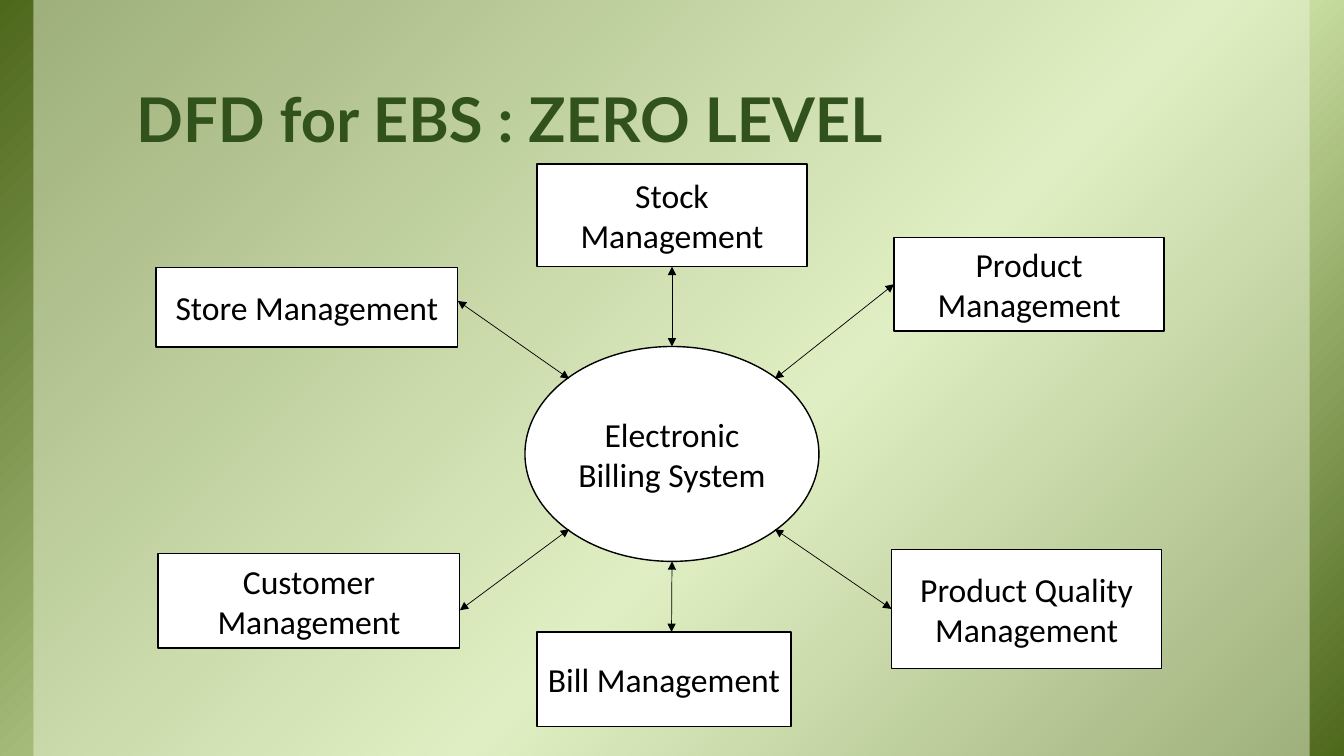
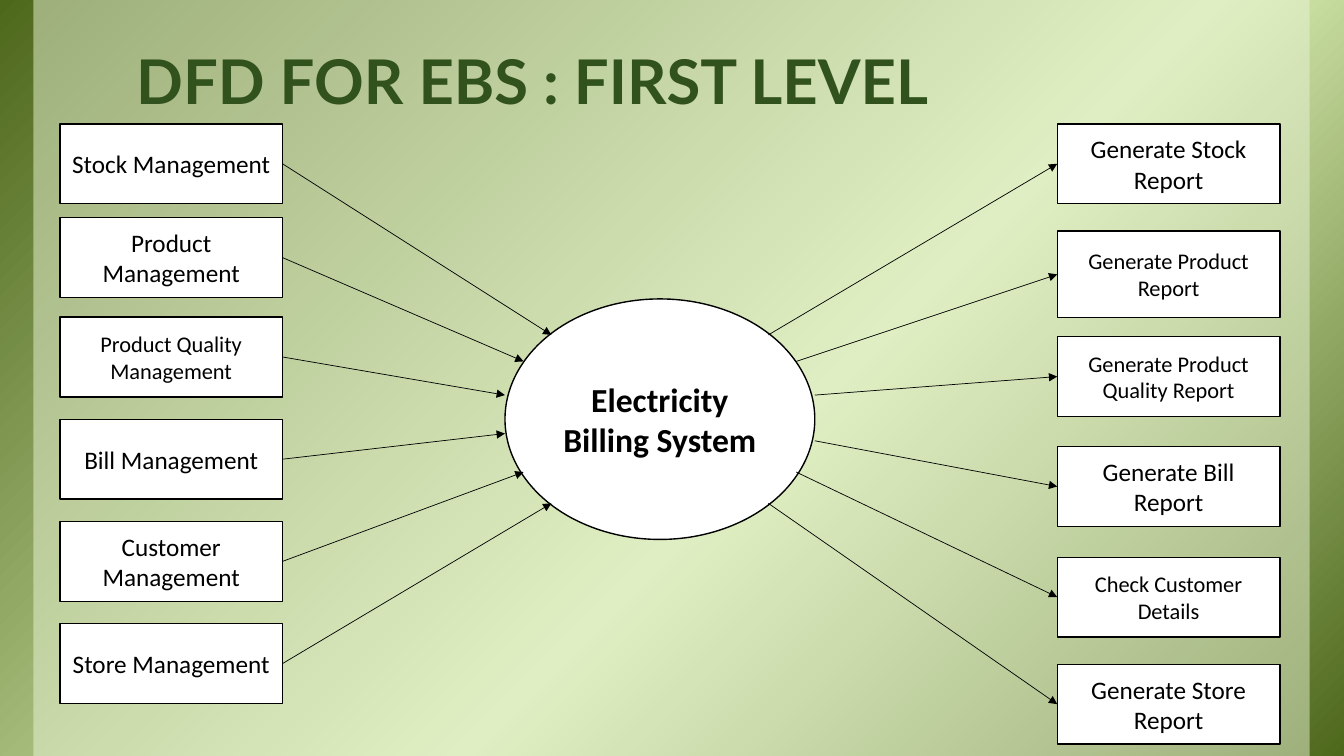
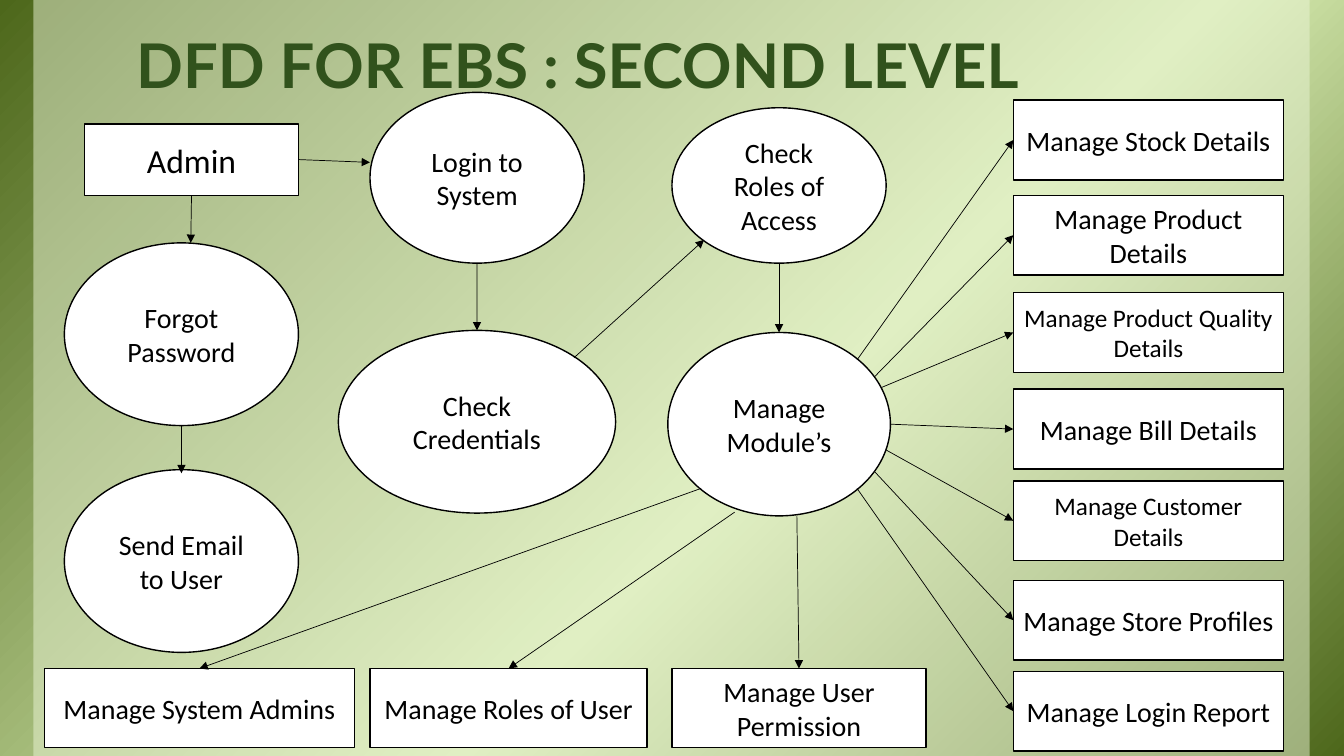
from copy import deepcopy

from lxml import etree
from pptx import Presentation
from pptx import util as u
from pptx.dml.color import RGBColor
from pptx.enum import shapes, text
from pptx.oxml.ns import qn

COLOURS = {
    "edge": "4D671B",
    "glow": "D6EAAF",
    "panel": "EBF5D7",
    "title": "31521C",
    "ink": "000000",
    "paper": "FFFFFF",
}
RECT = shapes.MSO_SHAPE.RECTANGLE
OVAL = shapes.MSO_SHAPE.OVAL
TOP, BOTTOM, LEFT, RIGHT = (0.5, 0), (0.5, 1), (0, 0.5), (1, 0.5)
TOP_LEFT, TOP_RIGHT = (0.15, 0.15), (0.85, 0.15)
BOTTOM_LEFT, BOTTOM_RIGHT = (0.15, 0.85), (0.85, 0.85)


def colour(name):
    return RGBColor.from_string(COLOURS[name])


class Deck:
    width, height = 960, 540
    title_font = {"name": "Lato", "size": u.Pt(44), "bold": True}
    node_font = {"name": "Calibri", "bold": False}
    title_frame = {
        "word_wrap": True,
        "vertical_anchor": text.MSO_ANCHOR.BOTTOM,
        "margin_left": u.Pt(9.36),
        "margin_right": u.Pt(9.36),
        "margin_top": u.Pt(5.04),
        "margin_bottom": u.Pt(5.04),
    }
    node_frame = {"word_wrap": True, "vertical_anchor": text.MSO_ANCHOR.MIDDLE}

    def __init__(self):
        self.presentation = Presentation()
        self.presentation.slide_width = u.Pt(self.width)
        self.presentation.slide_height = u.Pt(self.height)
        self.slide = None

    def start(self, title, title_height):
        self.slide = self.presentation.slides.add_slide(self.presentation.slide_layouts[6])
        self.backdrop()
        box = self.slide.shapes.add_textbox(*map(u.Pt, (88, 5.7, 800, title_height)))
        paragraph = self.label(box, title, self.title_frame, self.title_font, "title")
        paragraph.line_spacing = 0.85

    def shape(self, kind, area):
        shape = self.slide.shapes.add_shape(kind, *map(u.Pt, area))
        shape.shadow.inherit = False
        return shape

    def backdrop(self):
        back = self.shape(RECT, (0, 0, self.width, self.height))
        back.line.fill.background()
        back.fill.gradient()
        back.fill.gradient_angle = 315
        last = back._element.spPr.findall(".//" + qn("a:gs"))[-1]
        last.addnext(deepcopy(last))
        for stop, (position, name) in zip(
            back.fill.gradient_stops, ((0, "edge"), (0.58, "glow"), (1, "edge"))
        ):
            stop.position = position
            stop.color.rgb = colour(name)

        panel = self.shape(RECT, (23.8, 0, 911.6, self.height))
        panel.line.fill.background()
        panel.fill.solid()
        panel.fill.fore_color.rgb = colour("panel")
        tint = panel._element.spPr.find(".//" + qn("a:srgbClr"))
        etree.SubElement(tint, qn("a:alpha")).set("val", "50000")

    def label(self, shape, words, frame_format, font_format, ink):
        frame = shape.text_frame
        for name, value in frame_format.items():
            setattr(frame, name, value)
        paragraph = frame.paragraphs[0]
        run = paragraph.add_run()
        run.text = words
        for name, value in font_format.items():
            setattr(run.font, name, value)
        run.font.color.rgb = colour(ink)
        return paragraph

    def node(self, kind, words, area, size, bold=False):
        node = self.shape(kind, area)
        node.fill.solid()
        node.fill.fore_color.rgb = colour("paper")
        node.line.color.rgb = colour("ink")
        node.line.width = u.Pt(1)
        font = {**self.node_font, "size": u.Pt(size), "bold": bold}
        paragraph = self.label(node, words, self.node_frame, font, "ink")
        paragraph.alignment = text.PP_ALIGN.CENTER
        return node

    def column(self, left, width, height, rows):
        return [
            self.node(RECT, words, (left, top, width, height), size)
            for words, top, size in rows
        ]

    def spot(self, node, place):
        across, down = place
        return int(node.left + node.width * across), int(node.top + node.height * down)

    def arrow(self, source, source_place, target, target_place, both=False):
        connector = self.slide.shapes.add_connector(
            shapes.MSO_CONNECTOR.STRAIGHT,
            *self.spot(source, source_place),
            *self.spot(target, target_place),
        )
        connector.line.color.rgb = colour("ink")
        connector.line.width = u.Pt(0.5)
        properties = connector._element.spPr
        outline = properties.find(qn("a:ln"))
        for end in ("a:headEnd", "a:tailEnd") if both else ("a:tailEnd",):
            etree.SubElement(outline, qn(end)).set("type", "triangle")
        etree.SubElement(properties, qn("a:effectLst"))


def zero_level(deck):
    deck.start("DFD for EBS : ZERO LEVEL", 110)
    system = deck.node(OVAL, "Electronic Billing System", (375, 247.5, 210, 153.5), 24)
    modules = (
        ("Stock Management", (383.5, 117, 193, 73.5), TOP, BOTTOM),
        ("Product Management", (638.6, 169.5, 193, 67), TOP_RIGHT, LEFT),
        ("Product Quality Management", (636.8, 392.4, 193, 85.2), BOTTOM_RIGHT, LEFT),
        ("Bill Management", (383.5, 451.4, 181.5, 67.7), BOTTOM, (0.53, 0)),
        ("Customer Management", (113, 395.3, 215.5, 67.7), BOTTOM_LEFT, (1, 0.6)),
        ("Store Management", (111.5, 191, 215.5, 57), TOP_LEFT, (1, 0.42)),
    )
    for words, area, system_place, module_place in modules:
        module = deck.node(RECT, words, area, 24)
        deck.arrow(system, system_place, module, module_place, both=True)


def first_level(deck):
    deck.start("DFD FOR EBS : FIRST LEVEL", 82.8)
    inputs = deck.column(42.8, 159, 57, (
        ("Stock Management", 88.5, 18),
        ("Product Management", 155.5, 18),
        ("Product Quality Management", 226.5, 16),
        ("Bill Management", 299.5, 18),
        ("Customer Management", 372.5, 18),
        ("Store Management", 445.5, 18),
    ))
    reports = deck.column(755.2, 159, 57, (
        ("Generate Stock Report", 88.5, 18),
        ("Generate Product Report", 165, 16),
        ("Generate Product Quality Report", 240.5, 16),
        ("Generate Bill Report", 319, 18),
        ("Check Customer Details", 398, 16),
        ("Generate Store Report", 474.5, 18),
    ))
    reports[1].height = u.Pt(62)
    system = deck.node(
        OVAL, "Electricity Billing System", (360.7, 213.5, 221.3, 171.8), 24, bold=True
    )
    entries = (TOP_LEFT, (0.06, 0.26), (0, 0.4), (0, 0.56), (0.06, 0.72), BOTTOM_LEFT)
    exits = (TOP_RIGHT, (0.94, 0.26), (1, 0.4), (1, 0.59), (0.94, 0.72), BOTTOM_RIGHT)
    for module, entry in zip(inputs, entries):
        deck.arrow(module, RIGHT, system, entry)
    for report, exit_place in zip(reports, exits):
        deck.arrow(system, exit_place, report, LEFT)


def second_level(deck):
    deck.start("DFD FOR EBS : SECOND LEVEL", 71.3)
    admin = deck.node(RECT, "Admin", (60.3, 88.5, 153, 51), 24)
    login, credentials, forgot, email, roles, modules = [
        deck.node(OVAL, words, area, 20)
        for words, area in (
            ("Login to System", (264.3, 66, 153, 122)),
            ("Check Credentials", (241.7, 236, 198, 130.5)),
            ("Forgot Password", (46, 173.5, 167.2, 130.5)),
            ("Send Email to User", (46, 335.5, 167.2, 130.5)),
            ("Check Roles of Access", (480, 77, 153, 111)),
            ("Manage Module’s", (477, 237.5, 159, 131)),
        )
    ]
    details = deck.column(723.8, 193, 57, (
        ("Manage Stock Details", 71.5, 20),
        ("Manage Product Details", 139.5, 20),
        ("Manage Product Quality Details", 209, 18),
        ("Manage Bill Details", 278, 20),
        ("Manage Customer Details", 343.5, 18),
        ("Manage Store Profiles", 414.5, 20),
        ("Manage Login Report", 479.5, 20),
    ))
    access = [
        deck.node(RECT, words, (left, 477.5, width, 56.5), 20)
        for words, left, width in (
            ("Manage System Admins", 31.7, 221.5),
            ("Manage Roles of User", 264.3, 198),
            ("Manage User Permission", 480, 181.5),
        )
    ]
    for steps in (
        (admin, RIGHT, login, (0, 0.41)),
        (login, BOTTOM, credentials, TOP),
        (admin, BOTTOM, forgot, (0.54, 0)),
        (forgot, BOTTOM, email, (0.5, 0.02)),
        (credentials, TOP_RIGHT, roles, BOTTOM_LEFT),
        (roles, BOTTOM, modules, TOP),
    ):
        deck.arrow(*steps)
    exits = (
        TOP_RIGHT, (0.93, 0.24), (0.96, 0.3), RIGHT, (0.98, 0.64), (0.93, 0.76), BOTTOM_RIGHT
    )
    for detail, exit_place in zip(details, exits):
        deck.arrow(modules, exit_place, detail, LEFT)
    for target, exit_place in zip(access, (BOTTOM_LEFT, (0.3, 0.98), (0.58, 1))):
        deck.arrow(modules, exit_place, target, TOP)


def main():
    deck = Deck()
    zero_level(deck)
    first_level(deck)
    second_level(deck)
    deck.presentation.save("out.pptx")


if __name__ == "__main__":
    main()
